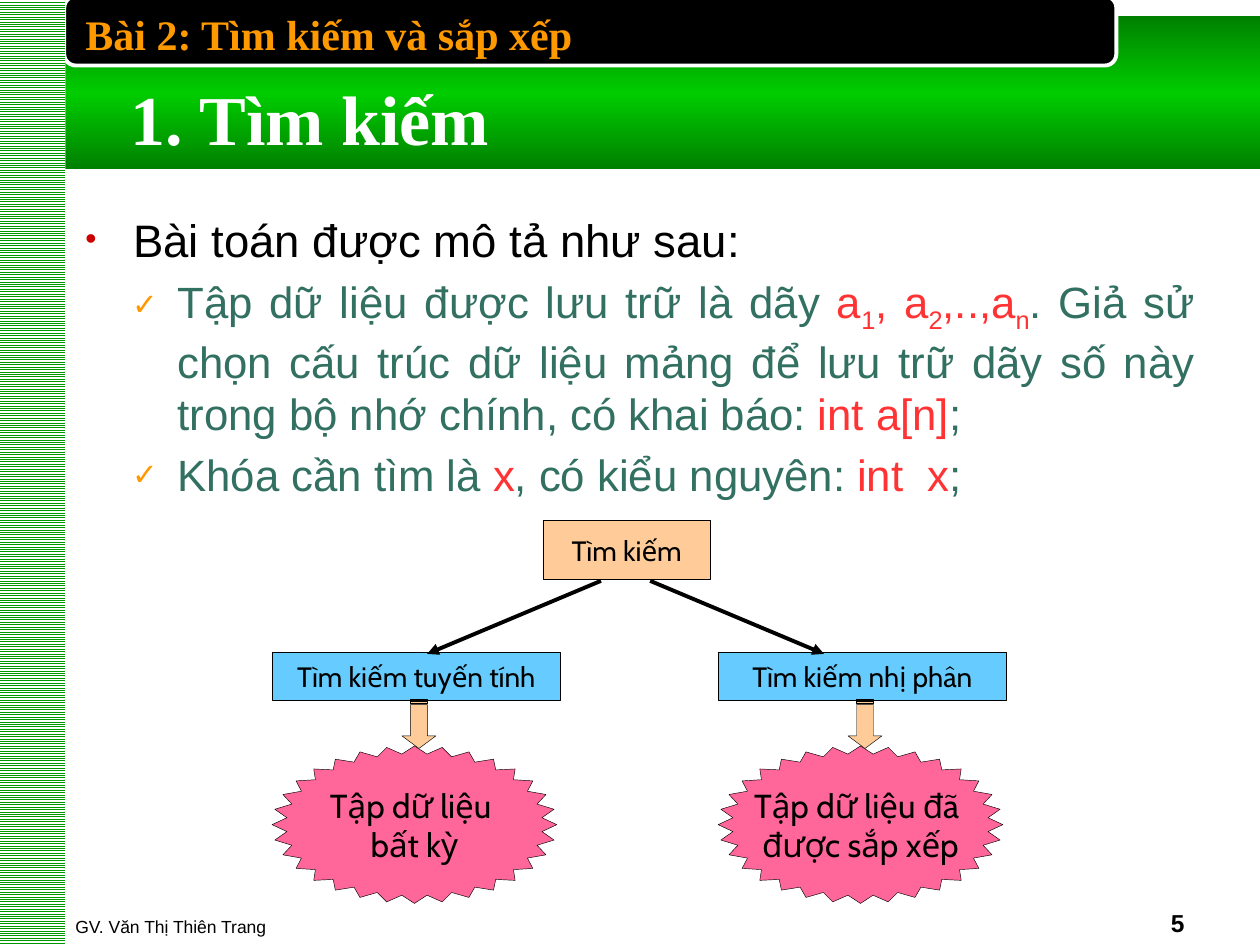
from copy import deepcopy

from lxml.etree import SubElement
from pptx import Presentation
from pptx.dml.color import RGBColor
from pptx.enum.dml import MSO_PATTERN
from pptx.enum.shapes import MSO_CONNECTOR, MSO_SHAPE
from pptx.enum.text import MSO_ANCHOR, PP_ALIGN
from pptx.oxml.ns import qn
from pptx.util import Inches, Pt

COLS, ROWS = 100, 75
WIDE, HIGH = Inches(10), Inches(7.5)
BLACK = RGBColor(0x00, 0x00, 0x00)
WHITE = RGBColor(0xFF, 0xFF, 0xFF)
DARK = RGBColor(0x00, 0x80, 0x00)
GREEN = RGBColor(0x00, 0xCC, 0x00)
STRIPE = RGBColor(0x00, 0x99, 0x00)
GOLD = RGBColor(0xFF, 0x99, 0x00)
CRIMSON = RGBColor(0xCC, 0x00, 0x00)
RED = RGBColor(0xFF, 0x33, 0x33)
TEAL = RGBColor(0x32, 0x70, 0x61)
PEACH = RGBColor(0xFF, 0xCC, 0x99)
SKY = RGBColor(0x66, 0xCC, 0xFF)
PINK = RGBColor(0xFF, 0x66, 0x99)

TITLE = {"name": "Times New Roman", "size": Pt(40), "bold": True, "color": WHITE}
HEAD = TITLE | {"size": Pt(24), "color": GOLD}
FOOT = {"name": "Arial", "size": Pt(10), "color": BLACK}
PAGE = FOOT | {"size": Pt(14), "bold": True}
LEAD = FOOT | {"size": Pt(26)}
ITEM = FOOT | {"size": Pt(25), "color": TEAL}
NODE = {"name": "Cabin", "size": Pt(16), "color": BLACK}
NOTE = NODE | {"size": Pt(19)}

POINTS = [
    ("Bài toán được mô tả như sau:", LEAD, ("•", CRIMSON, 3.8, 3.8)),
    ("Tập dữ liệu được lưu trữ là dãy |a_1_, a_2_,..,a_n_|. Giả sử chọn cấu trúc "
     "dữ liệu mảng để lưu trữ dãy số này trong bộ nhớ chính, có khai báo: |int a[n]|;",
     ITEM, ("✓", GOLD, 7.3, 3.6)),
    ("Khóa cần tìm là |x|, có kiểu nguyên: |int  x|;", ITEM, ("✓", GOLD, 7.3, 3.6)),
]
BRANCHES = [
    (21.6, "Tìm kiếm tuyến tính", "Tập dữ liệu \nbất kỳ", 47.7, 33.9),
    (57.0, "Tìm kiếm nhị phân", "Tập dữ liệu đã \nđược sắp xếp", 51.6, 65.4),
]


def across(cols):
    """Turn grid columns into a length."""
    return round(cols * WIDE / COLS)


def down(rows):
    """Turn grid rows into a length."""
    return round(rows * HIGH / ROWS)


def frame(x, y, w, h):
    """Turn a grid cell range into a position and size."""
    return across(x), down(y), across(w), down(h)


def style(font, form):
    """Set font attributes from a dict."""
    for key, val in form.items():
        if key == "color":
            font.color.rgb = val
        else:
            setattr(font, key, val)


def write(shape, text, form, align=PP_ALIGN.LEFT, anchor=MSO_ANCHOR.TOP, wrap=True):
    """Fill a shape with plain paragraphs."""
    body = shape.text_frame
    body.text = text
    body.word_wrap = wrap
    body.vertical_anchor = anchor
    for para in body.paragraphs:
        para.alignment = align
        for run in para.runs:
            style(run.font, form)


def label(slide, box, text, form, **opts):
    """Add a text box."""
    write(slide.shapes.add_textbox(*frame(*box)), text, form, **opts)


def block(slide, kind, box, fill=None, line=None, width=0.25):
    """Add a flat preset shape."""
    shape = slide.shapes.add_shape(kind, *frame(*box))
    shape.shadow.inherit = False
    if fill is not None:
        shape.fill.solid()
        shape.fill.fore_color.rgb = fill
    if line is None:
        shape.line.fill.background()
    else:
        shape.line.color.rgb = line
        shape.line.width = Pt(width)
    return shape


def node(slide, kind, box, fill, text, form):
    """Add a shape with centred text."""
    shape = block(slide, kind, box, fill, BLACK)
    write(shape, text, form, PP_ALIGN.CENTER, MSO_ANCHOR.MIDDLE, False)
    return shape


def arrow(slide, start, end):
    """Add a straight line with an arrowhead."""
    ends = across(start[0]), down(start[1]), across(end[0]), down(end[1])
    link = slide.shapes.add_connector(MSO_CONNECTOR.STRAIGHT, *ends)
    link.line.color.rgb = BLACK
    link.line.width = Pt(2.25)
    SubElement(link.line._get_or_add_ln(), qn("a:tailEnd"), type="triangle")
    SubElement(link._element.spPr, qn("a:effectLst"))


def bullet(para, mark, color, left, hang):
    """Give a paragraph a coloured bullet and a hanging indent."""
    props = para._p.get_or_add_pPr()
    props.set("marL", str(across(left)))
    props.set("indent", str(-across(hang)))
    tint = SubElement(props, qn("a:buClr"))
    SubElement(tint, qn("a:srgbClr"), val=str(color))
    SubElement(props, qn("a:buSzPct"), val="70000")
    SubElement(props, qn("a:buFont"), typeface="Arial")
    SubElement(props, qn("a:buChar"), char=mark)


def rich(para, text, form):
    """Write runs where bars toggle red and underscores toggle subscript."""
    for turn, part in enumerate(text.split("|")):
        tone = form | {"color": RED} if turn % 2 else form
        for step, piece in enumerate(part.split("_")):
            if piece:
                run = para.add_run()
                run.text = piece
                style(run.font, tone)
                if step % 2:
                    run.font._element.set("baseline", "-25000")


def points(slide):
    """Add the bulleted body text."""
    body = slide.shapes.add_textbox(*frame(5.8, 16.3, 90, 53.7)).text_frame
    body.word_wrap = True
    for num, (text, form, mark) in enumerate(POINTS):
        para = body.add_paragraph() if num else body.paragraphs[0]
        para.alignment = PP_ALIGN.JUSTIFY
        para.space_before = Pt(5)
        rich(para, text, form)
        bullet(para, *mark)


def backdrop(slide):
    """Add the green band, the black tab and the striped edge."""
    band = block(slide, MSO_SHAPE.RECTANGLE, (0, 1.3, 100, 12.1))
    band.fill.gradient()
    band.fill.gradient_angle = 90
    stops = band._element.spPr.find(".//" + qn("a:gsLst"))
    stops.insert(1, deepcopy(stops[0]))
    for num, stop in enumerate(band.fill.gradient_stops):
        stop.position = num / 2
        stop.color.rgb = GREEN if num == 1 else DARK
    block(slide, MSO_SHAPE.ROUNDED_RECTANGLE, (5.1, -0.3, 83.5, 5.5), BLACK, WHITE, 2.25)
    edge = block(slide, MSO_SHAPE.RECTANGLE, (-0.1, 0, 5.3, 75))
    edge.fill.patterned()
    edge.fill.pattern = MSO_PATTERN.LIGHT_HORIZONTAL
    edge.fill.fore_color.rgb = STRIPE
    edge.fill.back_color.rgb = WHITE


def tree(slide):
    """Add the search tree with its two branches."""
    node(slide, MSO_SHAPE.RECTANGLE, (43.1, 41.3, 13.3, 4.7), PEACH, "Tìm kiếm", NODE)
    for left, name, note, start, end in BRANCHES:
        node(slide, MSO_SHAPE.RECTANGLE, (left, 51.8, 22.9, 3.8), SKY, name, NODE)
        star = node(slide, MSO_SHAPE.STAR_32_POINT, (left, 59.2, 22.6, 12.5), PINK, note, NOTE)
        star.adjustments[0] = 0.45
        drop = block(slide, MSO_SHAPE.STRIPED_RIGHT_ARROW, (left + 9.7, 56.1, 3.9, 2.7), PEACH, BLACK)
        drop.rotation = 90
        drop.adjustments[0] = 0.5
        drop.adjustments[1] = 0.37
        arrow(slide, (start, 46.1), (end, 51.9))


def main():
    """Build the slide and save it."""
    deck = Presentation()
    deck.slide_width, deck.slide_height = WIDE, HIGH
    slide = deck.slides.add_slide(deck.slide_layouts[6])
    backdrop(slide)
    low = MSO_ANCHOR.BOTTOM
    label(slide, (5, 69.9, 60.8, 5), "GV. Văn Thị Thiên Trang", FOOT, anchor=low)
    label(slide, (71.7, 69.9, 23.3, 5), "5", PAGE, align=PP_ALIGN.RIGHT, anchor=low)
    label(slide, (9.4, 5.5, 30.6, 7.7), "1. Tìm kiếm", TITLE, wrap=False)
    points(slide)
    tree(slide)
    label(slide, (5.8, 0.2, 76.7, 5), "Bài 2: Tìm kiếm và sắp xếp", HEAD)
    deck.save("out.pptx")


if __name__ == "__main__":
    main()
